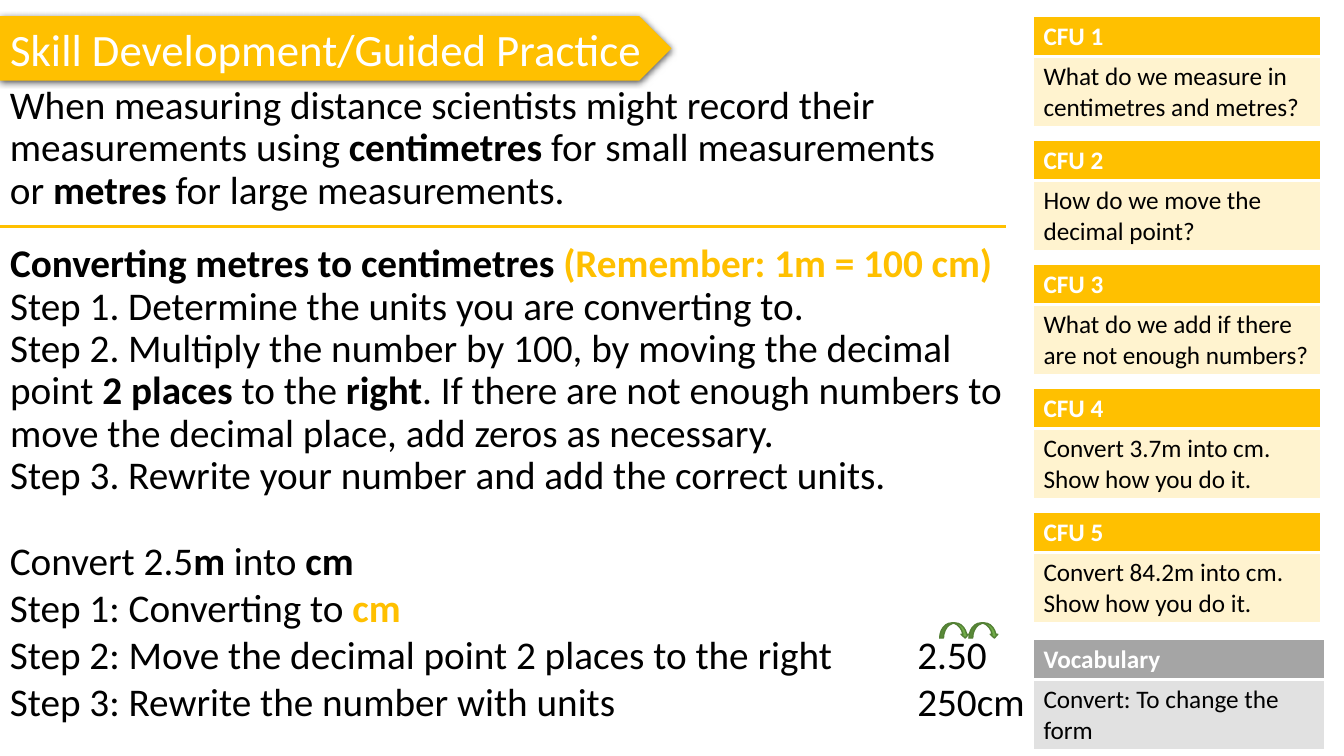
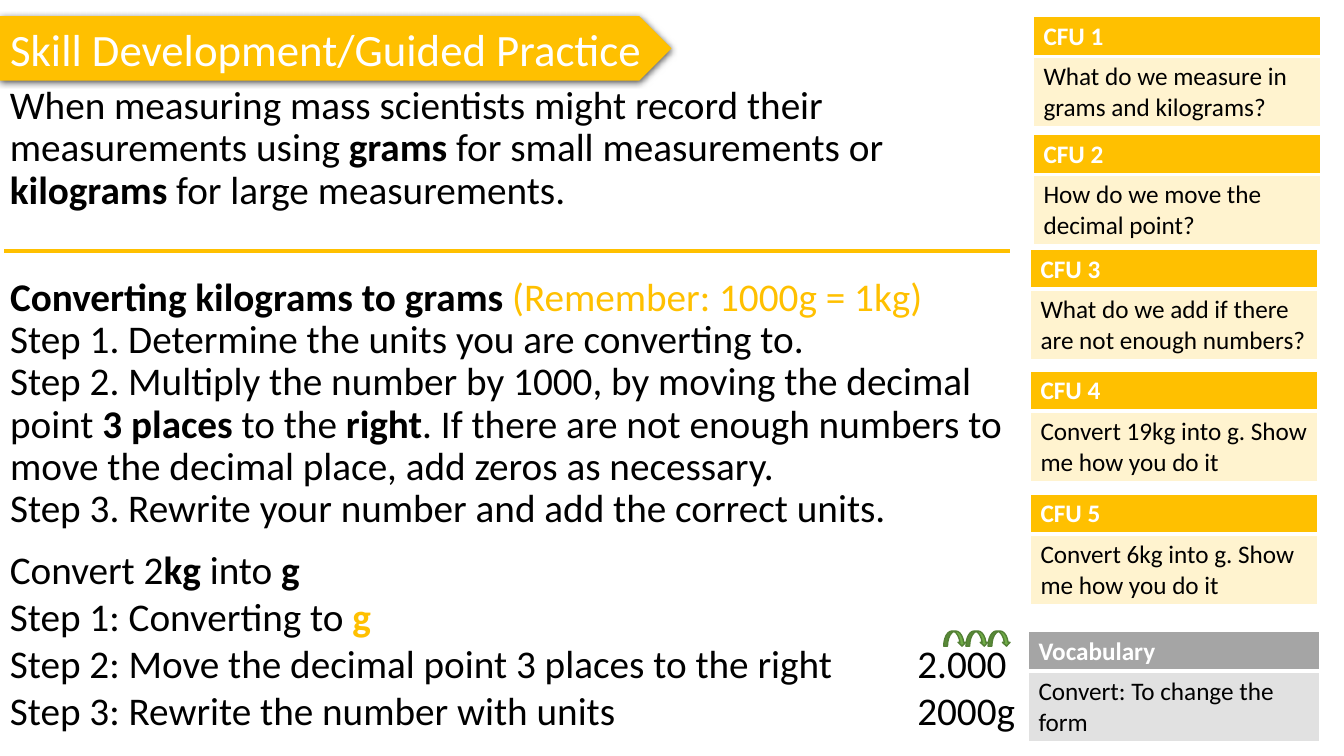
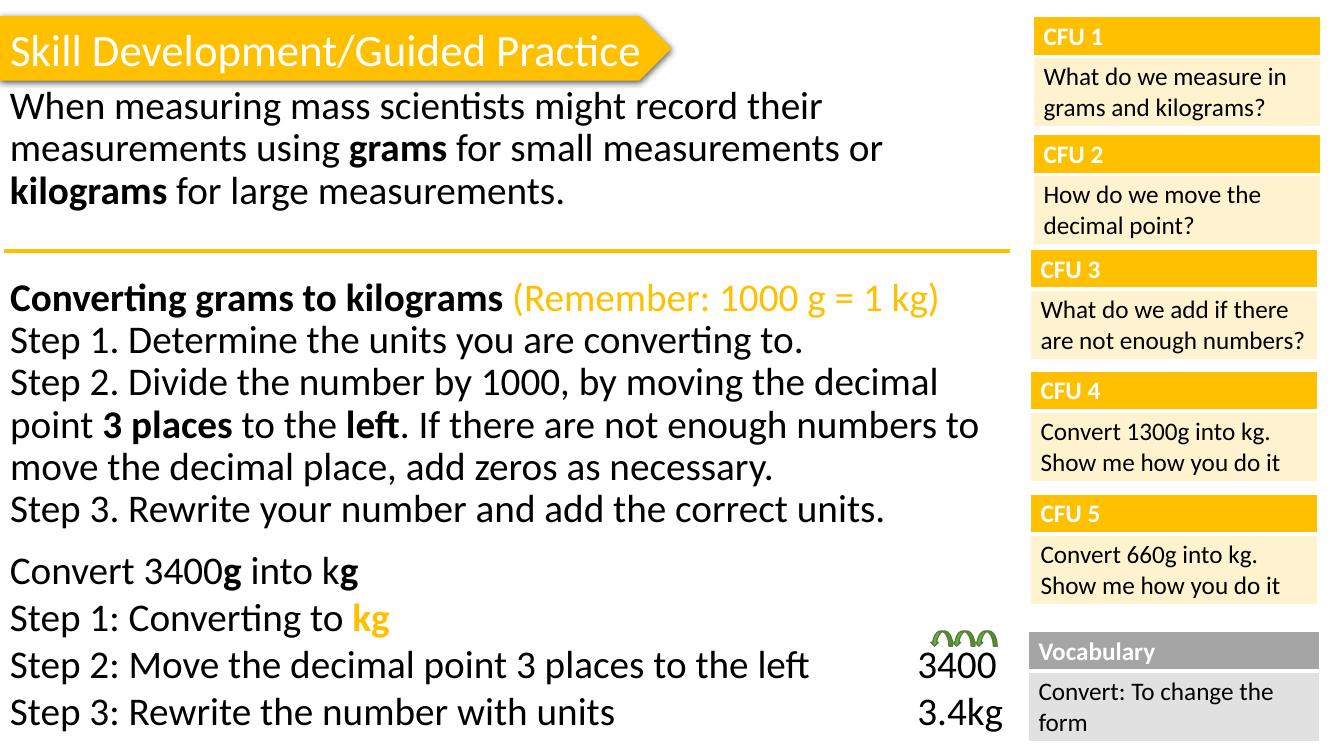
import pptx
import pptx.dml.color
import pptx.enum.shapes
import pptx.enum.text
import pptx.oxml
import pptx.oxml.ns
import pptx.util

Inches = pptx.util.Inches
Shape = pptx.enum.shapes.MSO_SHAPE
NAMESPACE = pptx.oxml.ns.nsdecls("a")
FONT = "Calibri"
COLORS = {
    "accent": "FFC000",
    "question": "FFF3CF",
    "vocabulary": "A5A5A5",
    "meaning": "E1E1E1",
    "arrow": "70AD47",
    "arrow_line": "538035",
    "text": "000000",
    "white": "FFFFFF",
}


def rgb(name):
    return pptx.dml.color.RGBColor.from_string(COLORS[name])


def write(frame, *paragraphs, size=28, color="text", bold=False, spacing=None,
          bullet_off=False, tab=None):
    """Fill a text frame; a span is a string or (string, marks), b = bold, a = accent."""
    for index, spans in enumerate(paragraphs):
        para = frame.paragraphs[0] if index == 0 else frame.add_paragraph()
        properties = para._p.get_or_add_pPr()
        if bullet_off:
            properties.set("marL", "0")
            properties.set("indent", "0")
            properties.append(pptx.oxml.parse_xml(f"<a:buNone {NAMESPACE}/>"))
        if tab:
            properties.append(pptx.oxml.parse_xml(
                f'<a:tabLst {NAMESPACE}><a:tab pos="{Inches(tab)}" algn="l"/></a:tabLst>'))
        para.alignment = pptx.enum.text.PP_ALIGN.LEFT
        para.space_before = pptx.util.Pt(0)
        if spacing:
            para.line_spacing = spacing
        for item in spans:
            text, marks = (item, "") if isinstance(item, str) else item
            span = para.add_run()
            span.text = text
            span.font.name = FONT
            span.font.size = pptx.util.Pt(size)
            span.font.bold = bold or "b" in marks
            span.font.color.rgb = rgb("accent" if "a" in marks else color)


# Places of the five question cards and the vocabulary card
LENGTH_CARDS = [(10.25, 0.16 + 1.23 * row) for row in range(5)] + [(10.25, 6.34)]
MASS_CARDS = [(10.25, 0.16), (10.25, 1.33), (10.22, 2.47), (10.22, 3.68),
              (10.22, 4.9), (10.2, 6.26)]
LENGTH = {"quantity": "distance", "small": "centimetres", "large": "metres",
          "cards": LENGTH_CARDS, "rule": (0, 2.25), "steps_top": 2.37, "worked_top": 5.27}
MASS = {"quantity": "mass", "small": "grams", "large": "kilograms",
        "cards": MASS_CARDS, "rule": (0.04, 2.49), "steps_top": 2.7, "worked_top": 5.36}

LESSONS = [
    {**LENGTH,
     "heading": "Converting metres to centimetres ",
     "reminder": ("(Remember: 1m = 100 cm)", "ba"),
     "operation": "Multiply", "factor": 100, "places": 2, "direction": "right",
     "example": ["Convert 2.5", ("m", "b"), " into ", ("cm", "b")],
     "unit": "cm", "moved": "2.50", "answer": "250cm",
     "tasks": ["Convert 3.7m into cm. Show how you do it.",
               "Convert 84.2m into cm. Show how you do it."],
     "arrows": (9.32, 6.18, 0.29)},
    {**MASS,
     "heading": "Converting kilograms to grams ",
     "reminder": ("(Remember: 1000g = 1kg)", "a"),
     "operation": "Multiply", "factor": 1000, "places": 3, "direction": "right",
     "example": ["Convert 2", ("kg ", "b"), "into ", ("g", "b")],
     "unit": "g", "moved": "2.000", "answer": "2000g",
     "tasks": ["Convert 19kg into g. Show me how you do it",
               "Convert 6kg into g. Show me how you do it"],
     "arrows": (9.36, 6.26, 0.22)},
    {**MASS,
     "heading": "Converting grams to kilograms ",
     "reminder": ("(Remember: 1000 g = 1 kg)", "a"),
     "operation": "Divide", "factor": 1000, "places": 3, "direction": "left",
     "example": ["Convert 3400", ("g", "b"), " into k", ("g", "b")],
     "unit": "kg", "moved": "3400", "answer": "3.4kg",
     "tasks": ["Convert 1300g into kg. Show me how you do it",
               "Convert 660g into kg. Show me how you do it"],
     "arrows": (9.23, 6.26, 0.22)},
]

deck = pptx.Presentation()
deck.slide_width = Inches(13.33)
deck.slide_height = Inches(7.5)

for lesson in LESSONS:
    page = deck.slides.add_slide(deck.slide_layouts[1])
    title, steps = page.placeholders

    # Title on its banner
    banner_place = [Inches(n) for n in (0, 0.16, 6.66, 0.64)]
    banner = page.shapes.add_shape(Shape.PENTAGON, *banner_place)
    banner.fill.solid()
    banner.fill.fore_color.rgb = rgb("accent")
    banner.line.fill.background()
    banner.element.spPr.append(pptx.oxml.parse_xml(
        f'<a:effectLst {NAMESPACE}><a:outerShdw blurRad="57150" dist="19050" dir="5400000" '
        'algn="ctr" rotWithShape="0"><a:srgbClr val="000000"><a:alpha val="63000"/>'
        '</a:srgbClr></a:outerShdw></a:effectLst>'))
    title.element.addprevious(banner.element)
    title.left, title.top, title.width, title.height = banner_place
    title.text_frame.margin_right = 0
    title.text_frame.auto_size = pptx.enum.text.MSO_AUTO_SIZE.NONE
    write(title.text_frame, ["Skill Development/Guided Practice"], size=32, color="white")

    # Introduction and rule
    intro = page.shapes.add_textbox(Inches(0), Inches(0.8), Inches(9.76), Inches(1.37))
    intro.text_frame.word_wrap = True
    write(intro.text_frame,
          [f"When measuring {lesson['quantity']} scientists might record their "
           "measurements using ", (lesson["small"], "b"), " for small measurements or ",
           (lesson["large"], "b"), " for large measurements."],
          spacing=0.9)
    rule_left, rule_top = lesson["rule"]
    rule = page.shapes.add_connector(
        pptx.enum.shapes.MSO_CONNECTOR.STRAIGHT, Inches(rule_left), Inches(rule_top),
        Inches(rule_left + 9.98), Inches(rule_top))
    rule.line.color.rgb = rgb("accent")
    rule.line.width = pptx.util.Pt(2.25)
    rule.element.spPr.append(pptx.oxml.parse_xml(f"<a:effectLst {NAMESPACE}/>"))

    # General steps
    steps.left, steps.top = Inches(0), Inches(lesson["steps_top"])
    steps.width, steps.height = Inches(10.15), Inches(2.67)
    steps.text_frame.auto_size = pptx.enum.text.MSO_AUTO_SIZE.NONE
    write(steps.text_frame,
          [(lesson["heading"], "b"), lesson["reminder"]],
          ["Step 1. Determine the units you are converting to."],
          [f"Step 2. {lesson['operation']} the number by {lesson['factor']}, "
           "by moving the decimal point ", (f"{lesson['places']} places ", "b"), "to the ",
           (lesson["direction"], "b"), ". If there are not enough numbers to move the "
           "decimal place, add zeros as necessary."],
          ["Step 3. Rewrite your number and add the correct units."],
          spacing=0.9, bullet_off=True)

    # Worked example
    worked = page.shapes.add_textbox(
        Inches(0), Inches(lesson["worked_top"]), Inches(10.36), Inches(1.99))
    worked.text_frame.word_wrap = True
    write(worked.text_frame,
          lesson["example"],
          ["Step 1: Converting to ", (lesson["unit"], "ba")],
          [f"Step 2: Move the decimal point {lesson['places']} places to the "
           f"{lesson['direction']}\t{lesson['moved']}"],
          [f"Step 3: Rewrite the number with units\t{lesson['answer']}"],
          tab=9)
    arrow_left, arrow_top, arrow_width = lesson["arrows"]
    for hop in range(lesson["places"]):
        arrow = page.shapes.add_shape(
            Shape.CURVED_DOWN_ARROW, Inches(arrow_left + hop * arrow_width),
            Inches(arrow_top), Inches(arrow_width), Inches(0.15))
        arrow.shadow.inherit = False
        arrow.fill.solid()
        arrow.fill.fore_color.rgb = rgb("arrow")
        arrow.line.color.rgb = rgb("arrow_line")
        arrow.line.width = pptx.util.Pt(1)
        if lesson["direction"] == "left":
            arrow.element.spPr.get_or_add_xfrm().set("flipH", "1")

    # Question and vocabulary cards
    questions = [f"What do we measure in {lesson['small']} and {lesson['large']}?",
                 "How do we move the decimal point?",
                 "What do we add if there are not enough numbers?",
                 *lesson["tasks"]]
    cards = [(f"CFU {number}", question, "accent", "question", 2.85)
             for number, question in enumerate(questions, 1)]
    cards.append(("Vocabulary", "Convert: To change the form", "vocabulary", "meaning", 2.89))
    for (left, top), (label, text, label_fill, text_fill, width) in zip(lesson["cards"], cards):
        table = page.shapes.add_table(
            2, 1, Inches(left), Inches(top), Inches(width), Inches(1.1)).table
        table.rows[0].height, table.rows[1].height = Inches(0.4), Inches(0.7)
        header, body = table.cell(0, 0), table.cell(1, 0)
        for cell, fill in ((header, label_fill), (body, text_fill)):
            cell.fill.solid()
            cell.fill.fore_color.rgb = rgb(fill)
        header._tc.get_or_add_tcPr().insert(0, pptx.oxml.parse_xml(
            f'<a:lnB {NAMESPACE} w="38100"><a:solidFill><a:srgbClr val="{COLORS["white"]}"/>'
            '</a:solidFill></a:lnB>'))
        write(header.text_frame, [label], size=18, color="white", bold=True)
        write(body.text_frame, [text], size=18)

deck.save("out.pptx")
